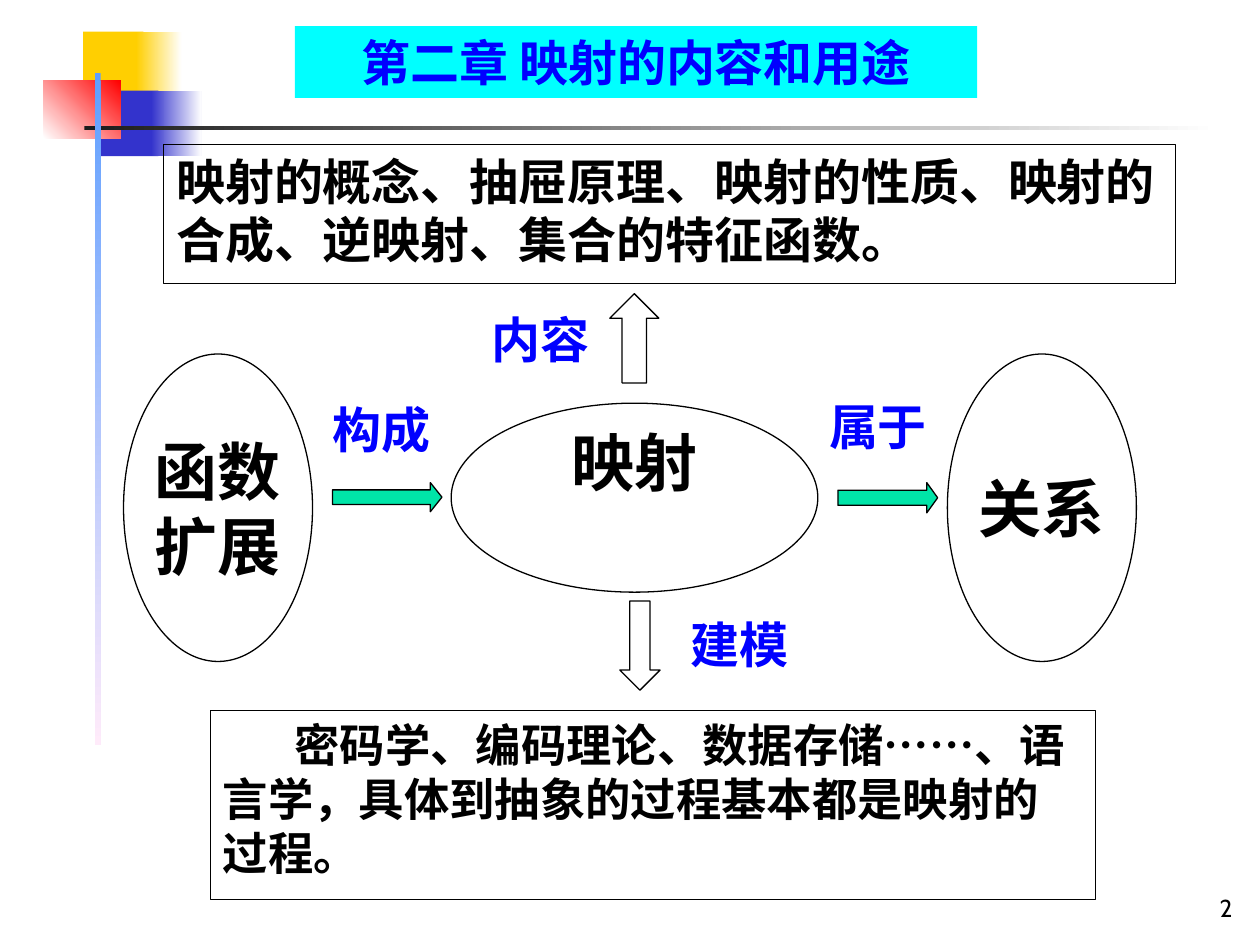
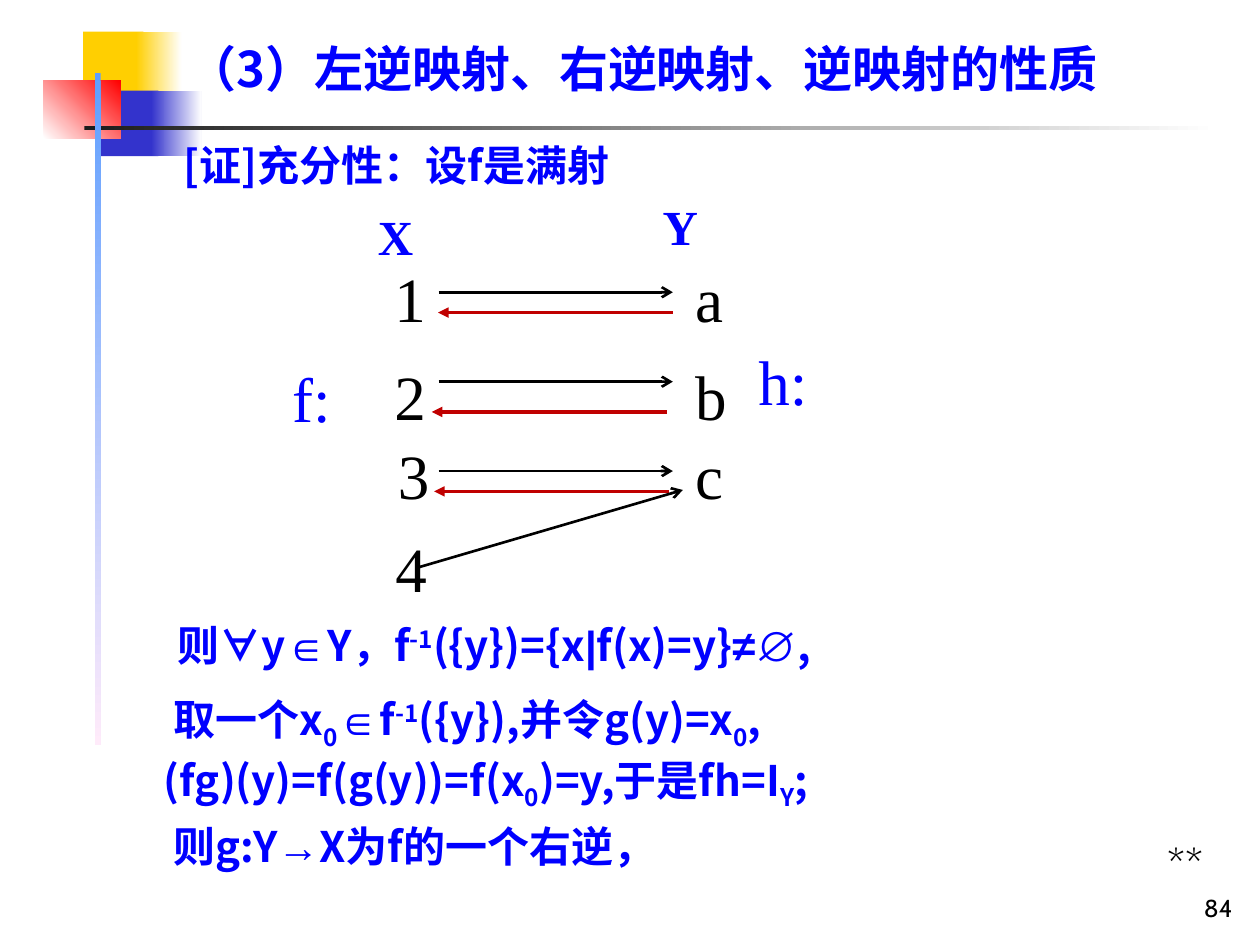
from dataclasses import dataclass
from lxml.etree import SubElement as Sub
from pptx import Presentation
from pptx.dml.color import RGBColor as Rgb
from pptx.enum.shapes import MSO_CONNECTOR as Link, MSO_SHAPE as Form
from pptx.enum.text import MSO_ANCHOR as Anchor, PP_ALIGN as Align
from pptx.oxml.ns import qn
from pptx.util import Pt


@dataclass(frozen=True)
class Theme:
    black: str = "000000"
    blue: str = "0000FF"
    cyan: str = "00FFFF"
    green: str = "00E4A8"
    red: str = "C00000"
    white: str = "FFFFFF"
    gold: str = "FFCF01"
    navy: str = "3333CC"
    hot: str = "FF0000"
    ink: str = "1C1C1C"
    sky: str = "5E9EFF"
    pink: str = "FFEBFA"
    hans: str = "Noto Sans CJK SC"
    times: str = "Times New Roman"
    cabin: str = "Cabin"
    arial: str = "Arial"
    huge: float = 36
    head: float = 28
    note: float = 25.9
    body: float = 24
    page: float = 14
    thin: float = 0.75


T = Theme()
PAD = (7.2, 3.6, 7.2, 3.6)
BARE = (0, 0, 0, 0)

DECOR = [
    ((47.5, 18, 34.5, 37.5), (T.gold,), 0),
    ((77.8, 18, 26, 37.5), (T.gold, T.white), 0),
    ((57.6, 51.8, 33, 37.5), (T.navy,), 0),
    ((86.4, 51.8, 28.8, 37.5), (T.navy, T.white), 0),
    ((25, 46, 44, 33.2), (T.white, T.hot), 45),
    ((48.2, 72, 648, 2.2), (T.ink, T.white), 0),
    ((54, 41.8, 3.6, 383.8), (T.sky, T.pink), 270),
]

CHAPTER = "第二章 映射的内容和用途"
PANELS = [
    ("映射的概念、抽屉原理、映射的性质、映射的合成、逆映射、集合的特征函数。",
     (93.6, 82.8, 578, 79.2), T.head, 0),
    ("密码学、编码理论、数据存储……、语言学，具体到抽象的过程基本都是映射的过程。",
     (120.2, 406, 506, 108), T.note, 41),
]
OVALS = [
    (["函数", "扩展"], (70.6, 202.3, 108, 175.7), PAD),
    (["映射"], (257.8, 230.4, 209.5, 108), (7.2, 3.6, 7.2, 44.6)),
    (["关系"], (541.4, 202.3, 108, 175.7), PAD),
]
ARROWS = [
    (Form.RIGHT_ARROW, (190, 275.8, 62.6, 16.6), 0.4, T.green),
    (Form.RIGHT_ARROW, (478.8, 275.8, 57, 17.3), 0.36, T.green),
    (Form.UP_ARROW, (348.5, 167.8, 28, 51), 0.5, None),
    (Form.DOWN_ARROW, (354.2, 343.4, 23, 51), 0.5, None),
]
LABELS = [("构成", 167, 224.6), ("属于", 450.7, 223.2),
          ("内容", 257.8, 173.5), ("建模", 371.5, 347.8)]

TOPIC = "（3）左逆映射、右逆映射、逆映射的性质"
MARKS = {"": (T.hans, 0), "a": (T.arial, 0), "t": (T.times, 0),
         "up": (T.hans, 30), "low": (T.hans, -25)}
PROOF = [
    ((105.1, 82.8, 312, 26),
     [("[证]充分性：", ""), ("设", "t"), ("f是满射", "")]),
    ((101.5, 357.1, 440, 26),
     [("则", ""), ("∀", "a"), ("y", ""), ("∈", "a"), ("Y，f", ""), ("-1", "up"),
      ("({y})={x", ""), ("|", "a"), ("f(x)=y}", ""), ("≠∅", "a"), (",", "")]),
    ((99.4, 396.7, 420, 29.5),
     [("取一个x", ""), ("0", "low"), ("∈", "a"), ("f", ""), ("-1", "up"),
      ("({y}),并令g(y)=x", ""), ("0", "low"), (",", "")]),
    ((93.6, 431.3, 482, 29.5),
     [("(fg)(y)=f(g(y))=f(x", ""), ("0", "low"), (")=y,于是fh=I", ""),
      ("Y", "low"), (";", "")]),
    ((99.4, 472.3, 329, 26),
     [("则g:Y", ""), ("→", "a"), ("X为f的一个右逆，", "")]),
]
ROWS = [144.7, 200.9, 246.2, 298.8]
NODES = ([(s, x, y) for s, x, y in zip("1234", (218.2, 218.2, 220.3, 218.9), ROWS)]
         + [(s, 390.2, y) for s, y in zip("abc", ROWS)])
SETS = [("X", 216, 121.7, T.head, True), ("Y", 378.7, 115.9, T.head, True),
        ("f:", 167, 210.2, T.huge, False), ("h:", 433.4, 200.9, T.huge, False)]
BACK = [(384.5, 178.6), (380.9, 235.4), (382.3, 280.8)]
SPAN = 134.2


def pts(*vals):
    return [Pt(v) for v in vals]


def shape(slide, form, box, fill=None, line=None, turn=0):
    item = slide.shapes.add_shape(form, *pts(*box))
    item.shadow.inherit = False
    if not fill:
        item.fill.background()
    elif len(fill) == 1:
        item.fill.solid()
        item.fill.fore_color.rgb = Rgb.from_string(fill[0])
    else:
        item.fill.gradient()
        item.fill.gradient_angle = turn
        for stop, tone in zip(item.fill.gradient_stops, fill):
            stop.color.rgb = Rgb.from_string(tone)
    if line:
        item.line.color.rgb = Rgb.from_string(line)
        item.line.width = Pt(T.thin)
    else:
        item.line.fill.background()
    return item


def write(item, paras, size, tone, bold=False, align=Align.LEFT, pad=PAD,
          anchor=Anchor.TOP, wrap=True, lead=None, indent=0):
    frame = item.text_frame
    frame.word_wrap = wrap
    frame.vertical_anchor = anchor
    (frame.margin_left, frame.margin_top,
     frame.margin_right, frame.margin_bottom) = pts(*pad)
    for i, runs in enumerate(paras):
        para = frame.add_paragraph() if i else frame.paragraphs[0]
        para.alignment = align
        if lead:
            para.line_spacing = lead
        if indent:
            para._p.get_or_add_pPr().set("indent", str(Pt(indent)))
        for text, face, base in runs:
            run = para.add_run()
            run.text = text
            font = run.font
            font.size, font.bold, font.name = Pt(size), bold, face
            font.color.rgb = Rgb.from_string(tone)
            props = run._r.get_or_add_rPr()
            if base:
                props.set("baseline", str(base * 1000))
            east = face if face == T.arial else T.hans
            Sub(props, qn("a:ea")).set("typeface", east)
    return item


def label(slide, box, runs, size, tone, **opts):
    return write(slide.shapes.add_textbox(*pts(*box)), [runs], size, tone, **opts)


def arrow(slide, start, end, tone, width, tip):
    line = slide.shapes.add_connector(Link.STRAIGHT, *pts(*start, *end))
    line.line.color.rgb = Rgb.from_string(tone)
    line.line.width = Pt(width)
    Sub(line.line._get_or_add_ln(), qn("a:tailEnd")).set("type", tip)
    Sub(line._element.spPr, qn("a:effectLst"))
    return line


def start(deck, num):
    slide = deck.slides.add_slide(deck.slide_layouts[6])
    for box, fill, turn in DECOR:
        shape(slide, Form.RECTANGLE, box, fill, turn=turn)
    label(slide, (561.6, 494.6, 149.8, 36), [(num, T.cabin, 0)], T.page, T.black,
          align=Align.RIGHT, anchor=Anchor.BOTTOM)
    return slide


def chart_map(deck):
    slide = start(deck, "2")
    bar = shape(slide, Form.RECTANGLE, (168.5, 15, 390, 41), (T.cyan,))
    write(bar, [[(CHAPTER, T.hans, 0)]], T.head, T.blue, True, Align.CENTER)
    for text, box, size, indent in PANELS:
        panel = shape(slide, Form.RECTANGLE, box, line=T.black)
        write(panel, [[(text, T.cabin, 0)]], size, T.black, True, indent=indent)
    for words, box, pad in OVALS:
        oval = shape(slide, Form.OVAL, box, line=T.black)
        write(oval, [[(w, T.times, 0)] for w in words], T.huge, T.black, True,
              Align.CENTER, pad, Anchor.MIDDLE, False)
    for form, box, tip, tone in ARROWS:
        item = shape(slide, form, box, tone and (tone,), T.black)
        item.adjustments[0], item.adjustments[1] = 0.5, tip
    for text, x, y in LABELS:
        label(slide, (x, y, 102, 41), [(text, T.times, 0)], T.head, T.blue,
              bold=True, align=Align.CENTER)


def proof(deck):
    slide = start(deck, "84")
    label(slide, (107.3, 26, 550, 30), [(TOPIC, T.hans, 0)], T.head, T.blue,
          bold=True, pad=BARE, lead=0.9)
    for box, runs in PROOF:
        label(slide, box, [(s, *MARKS[m]) for s, m in runs], T.body, T.blue,
              bold=True, pad=BARE, lead=0.9)
    label(slide, (657.4, 475.2, 40.3, 36), [("**", T.cabin, 0)], T.body, T.black,
          align=Align.CENTER, wrap=False)
    for text, x, y, size, bold in SETS:
        label(slide, (x, y, 30, size * 1.08), [(text, T.times, 0)], size, T.blue,
              bold=bold, pad=BARE, lead=0.9)
    nodes = {s: label(slide, (x, y, 20.9, 50.4), [(s, T.times, 0)], T.huge,
                      T.black, align=Align.CENTER) for s, x, y in NODES}
    for i, (x, y) in enumerate(BACK):
        top = 167 + 51.1 * i
        arrow(slide, (250.6, top), (384.5, top), T.black, 1.5, "arrow")
        arrow(slide, (x, y), (x - SPAN, y), T.red, 2, "triangle")
    last = arrow(slide, (239.8, 324), (390.2, 280), T.black, 1.5, "arrow")
    last.begin_connect(nodes["4"], 3)


def main():
    deck = Presentation()
    deck.slide_width, deck.slide_height = pts(720, 540)
    chart_map(deck)
    proof(deck)
    deck.save("out.pptx")


if __name__ == "__main__":
    main()
